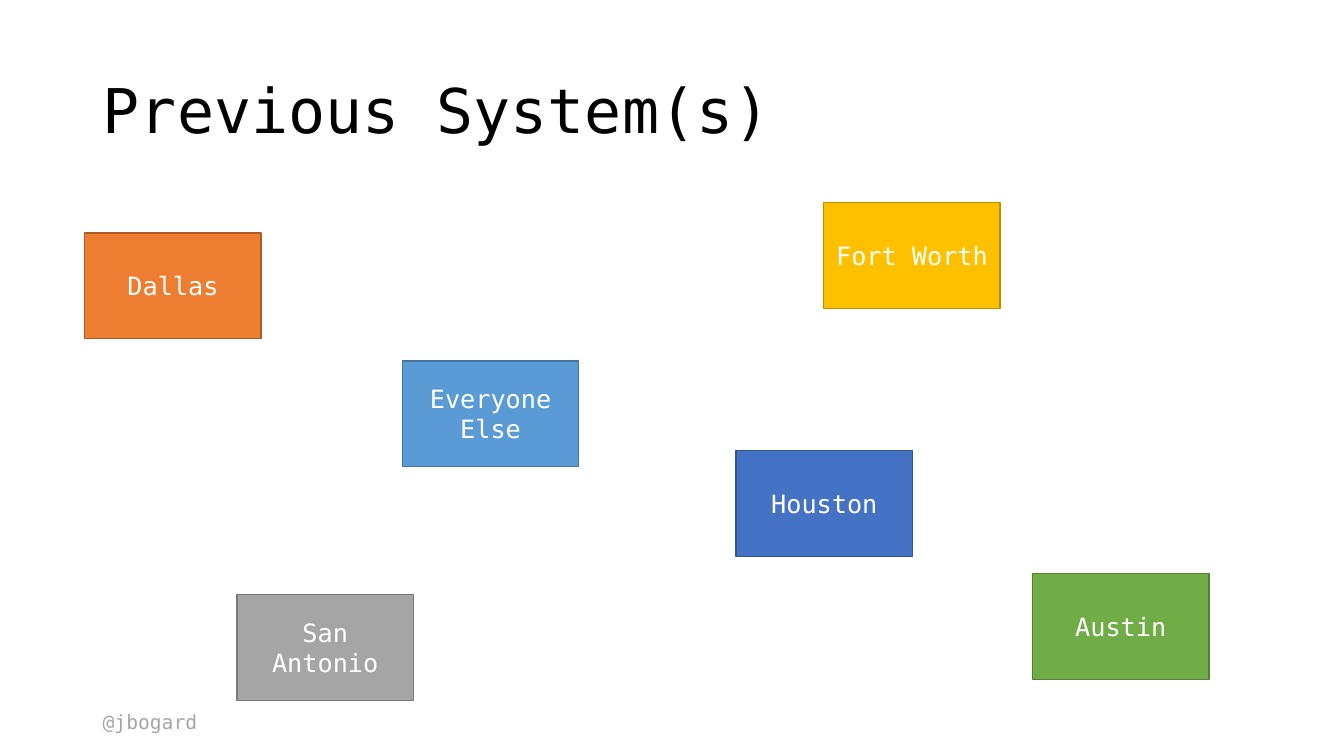
import pptx
import pptx.dml.color
import pptx.enum.shapes
import pptx.enum.text
import pptx.util

Inches = pptx.util.Inches
ALIGN = pptx.enum.text.PP_ALIGN
MIDDLE = pptx.enum.text.MSO_ANCHOR.MIDDLE

COLORS = {
    "title": "000000",
    "handle": "A6A6A6",
    "label": "FFFFFF",
    "orange": "ED7D31",
    "orange edge": "AF5C24",
    "gold": "FFC000",
    "gold edge": "BD8E00",
    "gray": "A5A5A5",
    "gray edge": "7A7A7A",
    "blue": "4472C4",
    "blue edge": "325491",
    "sky": "5B9BD5",
    "sky edge": "43739E",
    "green": "70AD47",
    "green edge": "538035",
}

CITIES = [
    ("Dallas", "orange", 0.84, 2.31),
    ("Fort Worth", "gold", 8.17, 2.01),
    ("San Antonio", "gray", 2.35, 5.9),
    ("Houston", "blue", 7.3, 4.47),
    ("Everyone Else", "sky", 3.99, 3.58),
    ("Austin", "green", 10.24, 5.69),
]


def color(name):
    return pptx.dml.color.RGBColor.from_string(COLORS[name])


class SystemSlide:
    font_name = "DejaVu Sans Mono"
    city_width = Inches(1.75)
    city_height = Inches(1.05)

    def __init__(self, deck):
        self.page = deck.slides.add_slide(deck.slide_layouts[5])

    def set_text(self, box, text, size, color_name, align=ALIGN.LEFT):
        box.text_frame.text = text
        para = box.text_frame.paragraphs[0]
        para.alignment = align
        for span in para.runs:
            span.font.name = self.font_name
            span.font.size = pptx.util.Pt(size)
            span.font.color.rgb = color(color_name)
        return para

    def title(self, text):
        box = self.page.shapes.title
        box.left, box.top = Inches(0.92), Inches(0.4)
        box.width, box.height = Inches(11.5), Inches(1.45)
        para = self.set_text(box, text, 44, "title")
        para.line_spacing = 0.9
        box.text_frame.vertical_anchor = MIDDLE

    def handle(self, text):
        box = self.page.shapes.add_textbox(
            Inches(0.92), Inches(6.99), Inches(1.46), Inches(0.34)
        )
        self.set_text(box, text, 14, "handle")
        box.text_frame.word_wrap = True

    def city(self, name, color_name, left, top):
        box = self.page.shapes.add_shape(
            pptx.enum.shapes.MSO_SHAPE.RECTANGLE,
            Inches(left), Inches(top), self.city_width, self.city_height,
        )
        box.shadow.inherit = False
        box.fill.solid()
        box.fill.fore_color.rgb = color(color_name)
        box.line.color.rgb = color(color_name + " edge")
        box.line.width = pptx.util.Pt(1)
        self.set_text(box, name, 18, "label", ALIGN.CENTER)
        box.text_frame.word_wrap = True
        box.text_frame.vertical_anchor = MIDDLE


def main():
    deck = pptx.Presentation()
    deck.slide_width = Inches(13.33)
    deck.slide_height = Inches(7.5)
    slide = SystemSlide(deck)
    slide.handle("@jbogard")
    slide.title("Previous System(s)")
    for city in CITIES:
        slide.city(*city)
    deck.save("out.pptx")


if __name__ == "__main__":
    main()
